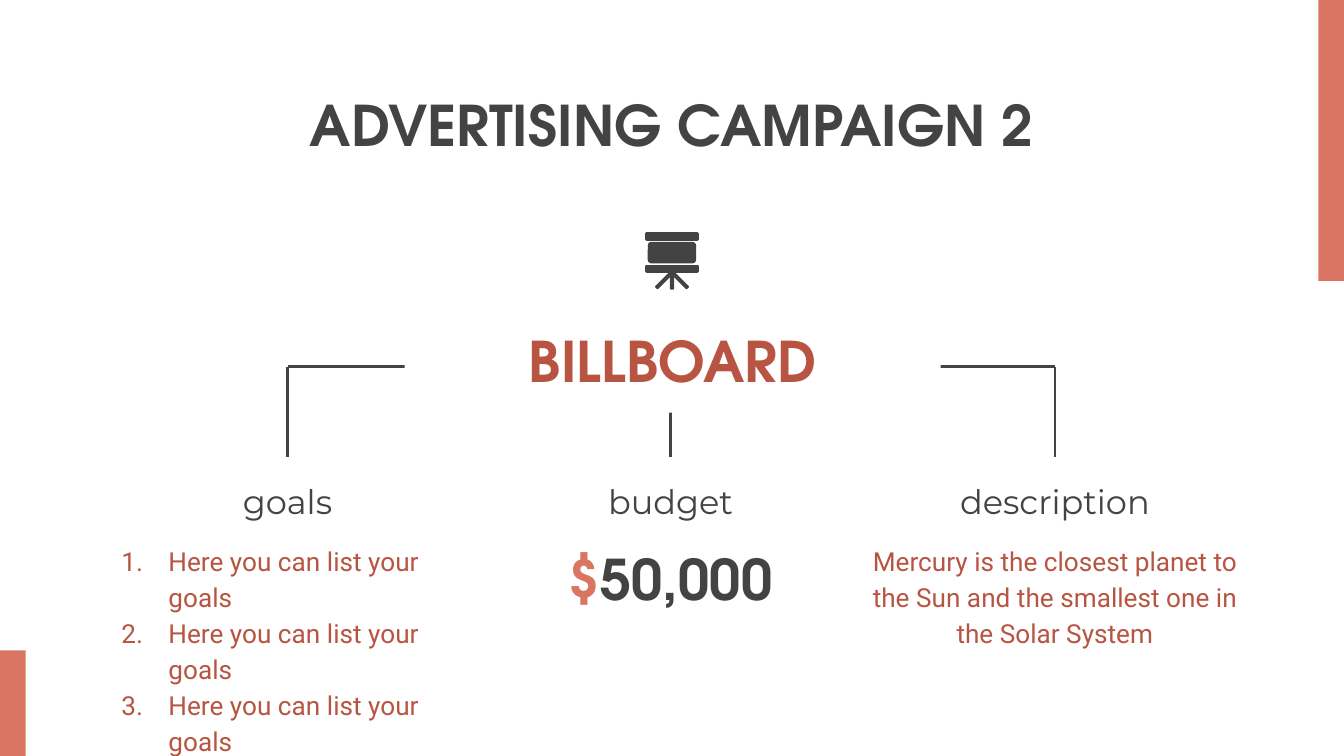
"""Build the billboard campaign slide: a heading tree with goals, budget and description."""
from dataclasses import dataclass
from typing import NamedTuple, Optional

from lxml import etree
from pptx import Presentation
from pptx import util as u
from pptx.dml.color import RGBColor
from pptx.enum import shapes, text
from pptx.oxml.ns import qn

WIDTH = u.Inches(10)
HEIGHT = WIDTH * 9 // 16
COLUMNS, ROWS = 1000, 562.5


@dataclass(frozen=True)
class Theme:
    dark: str = "434343"
    accent: str = "B75442"
    coral: str = "DB7563"
    white: str = "FFFFFF"
    heading_font: str = "TeX Gyre Adventor"
    label_font: str = "Montserrat"
    body_font: str = "Roboto"
    heading_size: int = 30
    label_size: int = 18
    body_size: int = 14
    line_width: float = 1.5
    leg_line_width: float = 0.75


THEME = Theme()


class Style(NamedTuple):
    font: str
    size: int
    color: str
    bold: bool = False
    spacing: Optional[float] = None
    anchor: text.MSO_ANCHOR = text.MSO_ANCHOR.MIDDLE


class Box(NamedTuple):
    left: float
    top: float
    width: float
    height: float


class Bar(NamedTuple):
    box: Box
    color: str
    outline: float = 0
    rotation: int = 0
    rounded: bool = False


class Branch(NamedTuple):
    center: float
    label: str


TITLE = Style(THEME.heading_font, THEME.heading_size, THEME.dark, True)
HEADING = TITLE._replace(color=THEME.accent)
LABEL = Style(THEME.label_font, THEME.label_size, THEME.dark, spacing=1.15)
BODY = Style(THEME.body_font, THEME.body_size, THEME.accent, spacing=1.15, anchor=text.MSO_ANCHOR.TOP)

GOALS, BUDGET, DESCRIPTION = BRANCHES = (
    Branch(214, "goals"), Branch(499, "budget"), Branch(785, "description"))
BRANCH_TOP, BRANCH_BOTTOM = 273, 340
LABEL_TOP, BODY_TOP = 349, 392

EDGE_BARS = (
    Bar(Box(981, 0, 19, 209), THEME.coral),
    Bar(Box(0, 484, 19, 78.5), THEME.coral))
BILLBOARD_ICON = (
    *(Bar(Box(481, top, 38, 4), THEME.dark, THEME.line_width) for top in (174, 198)),
    Bar(Box(482, 180, 36, 16), THEME.dark, rounded=True),
    *(Bar(Box(left, 207, width, 2), THEME.dark, THEME.leg_line_width, rotation, True)
      for left, width, rotation in ((486, 17, 135), (497, 17, 225), (493, 14, 270))))


def x(column: float) -> int:
    """Return the horizontal position of a grid column."""
    return round(WIDTH * column / COLUMNS)


def y(row: float) -> int:
    """Return the vertical position of a grid row."""
    return round(HEIGHT * row / ROWS)


def place(box: Box) -> tuple[int, int, int, int]:
    """Convert a grid box to slide lengths."""
    return x(box.left), y(box.top), x(box.width), y(box.height)


def centered(center: float, top: float, width: float, height: float) -> Box:
    """Return a box centred on a column."""
    return Box(center - width / 2, top, width, height)


def rgb(color: str) -> RGBColor:
    """Return a colour from its hexadecimal form."""
    return RGBColor.from_string(color)


def draw_bar(slide, bar: Bar) -> None:
    """Draw a filled, optionally rounded and rotated bar."""
    kind = shapes.MSO_SHAPE.ROUNDED_RECTANGLE if bar.rounded else shapes.MSO_SHAPE.RECTANGLE
    shape = slide.shapes.add_shape(kind, *place(bar.box))
    shape.shadow.inherit = False
    shape.rotation = bar.rotation
    shape.fill.solid()
    shape.fill.fore_color.rgb = rgb(bar.color)
    if bar.outline:
        shape.line.color.rgb = rgb(bar.color)
        shape.line.width = u.Pt(bar.outline)
    else:
        shape.line.fill.background()


def draw_line(slide, start: tuple[float, float], end: tuple[float, float]) -> None:
    """Draw a straight branch line between two grid points."""
    line = slide.shapes.add_connector(
        shapes.MSO_CONNECTOR.STRAIGHT, x(start[0]), y(start[1]), x(end[0]), y(end[1]))
    line.line.color.rgb = rgb(THEME.dark)
    line.line.width = u.Pt(THEME.line_width)
    etree.SubElement(line._element.spPr, qn("a:effectLst"))


def number(paragraph, color: str) -> None:
    """Turn a paragraph into a numbered list item."""
    properties = paragraph._p.get_or_add_pPr()
    properties.set("marL", str(u.Inches(0.5)))
    properties.set("indent", str(-u.Inches(0.35)))
    bullet_color = etree.SubElement(properties, qn("a:buClr"))
    etree.SubElement(bullet_color, qn("a:srgbClr"), val=color)
    etree.SubElement(properties, qn("a:buFont"), typeface=THEME.body_font)
    etree.SubElement(properties, qn("a:buAutoNum"), type="arabicPeriod")


def draw_text(slide, box: Box, lines: list[str], style: Style,
              numbered: bool = False, fill: Optional[str] = None):
    """Draw a text box and return its shape."""
    shape = slide.shapes.add_textbox(*place(box))
    if fill:
        shape.fill.solid()
        shape.fill.fore_color.rgb = rgb(fill)
    frame = shape.text_frame
    frame.word_wrap = True
    frame.vertical_anchor = style.anchor
    frame.margin_left = frame.margin_right = u.Inches(0.1)
    frame.margin_top = frame.margin_bottom = u.Inches(0.1)
    frame.text = "\n".join(lines)
    for paragraph in frame.paragraphs:
        if numbered:
            number(paragraph, style.color)
        paragraph.alignment = text.PP_ALIGN.LEFT if numbered else text.PP_ALIGN.CENTER
        if style.spacing:
            paragraph.line_spacing = style.spacing
        paragraph.font.name = style.font
        paragraph.font.size = u.Pt(style.size)
        paragraph.font.bold = style.bold
        paragraph.font.color.rgb = rgb(style.color)
    return shape


def main() -> None:
    """Build and save the slide."""
    presentation = Presentation()
    presentation.slide_width, presentation.slide_height = WIDTH, HEIGHT
    slide = presentation.slides.add_slide(presentation.slide_layouts[6])
    for bar in EDGE_BARS:
        draw_bar(slide, bar)
    draw_text(slide, Box(113, 53, 773, 78), ["ADVERTISING CAMPAIGN 2"], TITLE)

    draw_line(slide, (GOALS.center, BRANCH_TOP), (DESCRIPTION.center, BRANCH_TOP))
    for branch in BRANCHES:
        draw_line(slide, (branch.center, BRANCH_TOP), (branch.center, BRANCH_BOTTOM))
        draw_text(slide, centered(branch.center, LABEL_TOP, 214, 43), [branch.label], LABEL)

    draw_text(slide, centered(GOALS.center, BODY_TOP, 297, 97),
              ["Here you can list your goals"] * 3, BODY, numbered=True)
    draw_text(slide, centered(DESCRIPTION.center, BODY_TOP, 298, 97),
              ["Mercury is the closest planet to the Sun and the smallest one in the Solar System"], BODY)
    budget = draw_text(slide, centered(BUDGET.center, BODY_TOP, 226, 76), ["$"], TITLE)
    amount = budget.text_frame.paragraphs[0]
    amount.runs[0].font.color.rgb = rgb(THEME.coral)
    amount.add_run().text = "50,000"

    draw_text(slide, Box(301, 229, 399, 78), ["BILLBOARD"], HEADING, fill=THEME.white)
    for bar in BILLBOARD_ICON:
        draw_bar(slide, bar)
    presentation.save("out.pptx")


if __name__ == "__main__":
    main()
